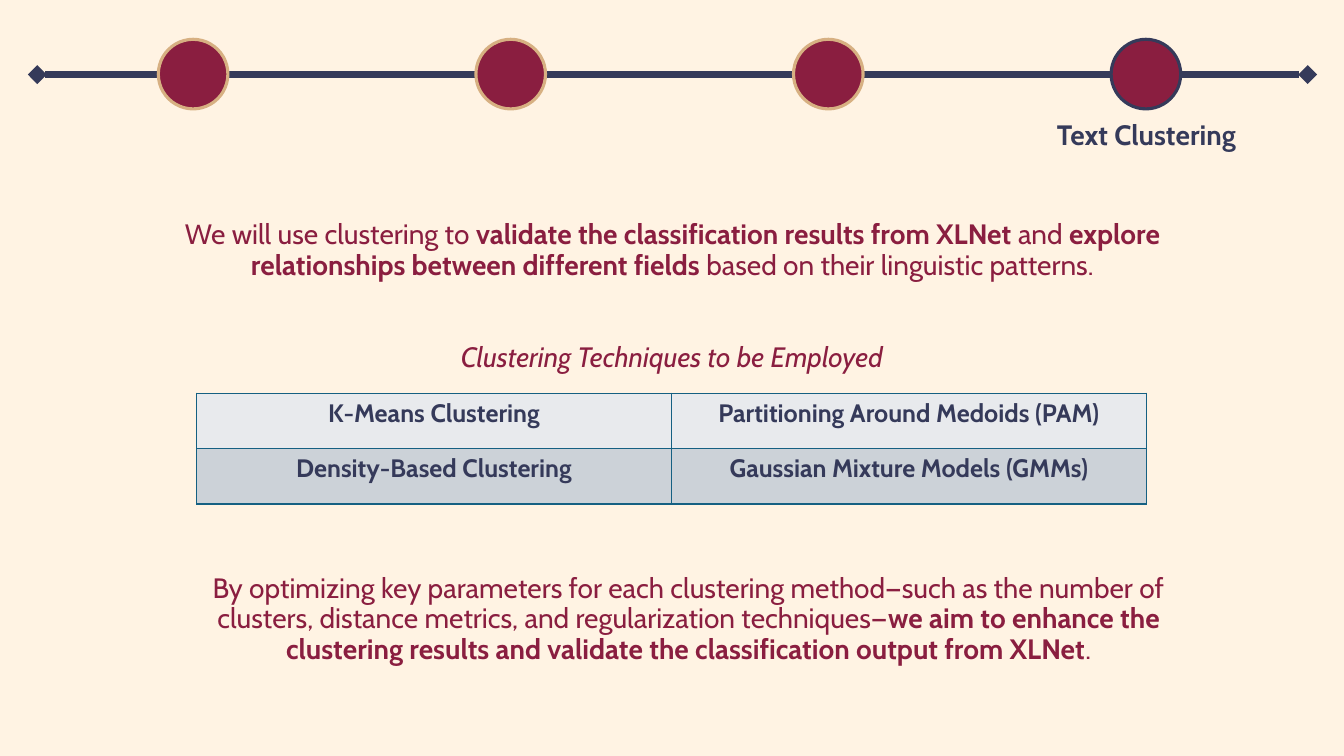
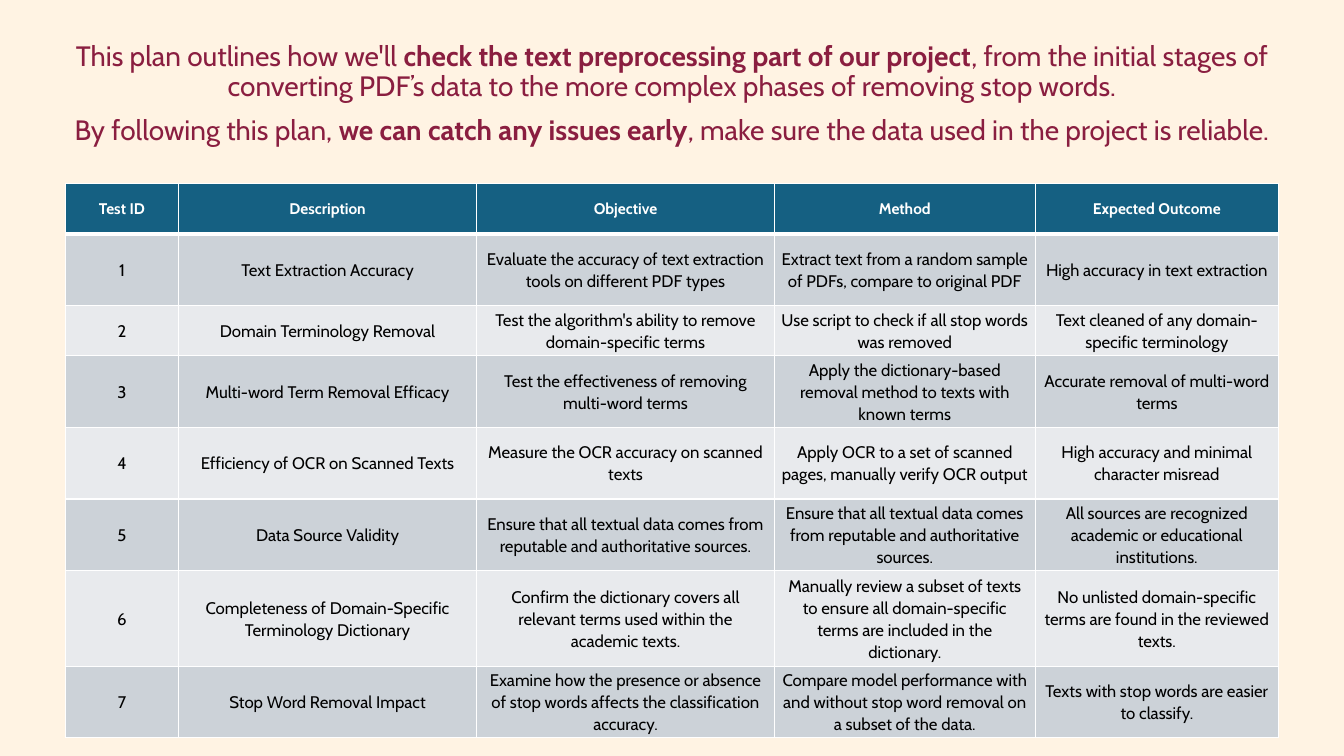
import dataclasses

import lxml.etree
import pptx
import pptx.dml.color
import pptx.enum.shapes
import pptx.enum.text
import pptx.oxml.ns
import pptx.util

PX = 9144  # EMU per px, 100 px to the inch


@dataclasses.dataclass(frozen=True)
class Theme:
    font: str = "Cabin"
    cream: str = "FFF3E3"
    wine: str = "8A1E40"
    navy: str = "353A5A"
    gold: str = "D7B082"
    teal: str = "156082"
    light: str = "E8EAED"
    grey: str = "CCD2D8"
    white: str = "FFFFFF"
    black: str = "000000"
    text: int = 20
    grid: int = 18
    cell: int = 12
    head: int = 11


THEME = Theme()

TESTS = [
    ("Test ID", "Description", "Objective", "Method", "Expected Outcome"),
    ("1", "Text Extraction Accuracy",
     "Evaluate the accuracy of text extraction tools on different PDF types",
     "Extract text from a random sample of PDFs, compare to original PDF",
     "High accuracy in text extraction"),
    ("2", "Domain Terminology Removal",
     "Test the algorithm's ability to remove domain-specific terms",
     "Use script to check if all stop words was removed",
     "Text cleaned of any domain-specific terminology"),
    ("3", "Multi-word Term Removal Efficacy",
     "Test the effectiveness of removing multi-word terms",
     "Apply the dictionary-based removal method to texts with known terms",
     "Accurate removal of multi-word terms"),
    ("4", "Efficiency of OCR on Scanned Texts",
     "Measure the OCR accuracy on scanned texts",
     "Apply OCR to a set of scanned pages, manually verify OCR output",
     "High accuracy and minimal character misread"),
    ("5", "Data Source Validity",
     "Ensure that all textual data comes from reputable and authoritative sources.",
     "Ensure that all textual data comes from reputable and authoritative sources.",
     "All sources are recognized academic or educational institutions."),
    ("6", "Completeness of Domain-Specific Terminology Dictionary",
     "Confirm the dictionary covers all relevant terms used within the academic texts.",
     "Manually review a subset of texts to ensure all domain-specific terms "
     "are included in the dictionary.",
     "No unlisted domain-specific terms are found in the reviewed texts."),
    ("7", "Stop Word Removal Impact",
     "Examine how the presence or absence of stop words affects the classification accuracy.",
     "Compare model performance with and without stop word removal on a subset of the data.",
     "Texts with stop words are easier to classify."),
]


# Basics
def px(*nums):
    return [pptx.util.Emu(n * PX) for n in nums]


def rgb(code):
    return pptx.dml.color.RGBColor.from_string(code)


def add_tag(parent, tag, **attrs):
    return lxml.etree.SubElement(parent, pptx.oxml.ns.qn(tag), attrs)


def add_run(para, text, size, color, bold=False, slant=False):
    run = para.add_run()
    run.text = text
    font = run.font
    font.name, font.size = THEME.font, pptx.util.Pt(size)
    font.bold, font.italic = bold, slant
    font.color.rgb = rgb(color)


# Text blocks: each paragraph is a list of parts, plain and bold in turn
def fill_text(shape, box, paras, color=THEME.wine, slant=False):
    shape.left, shape.top, shape.width, shape.height = px(*box)
    frame = shape.text_frame
    frame.word_wrap = True
    frame.auto_size = pptx.enum.text.MSO_AUTO_SIZE.NONE
    frame.vertical_anchor = pptx.enum.text.MSO_ANCHOR.MIDDLE
    for num, parts in enumerate(paras):
        para = frame.add_paragraph() if num else frame.paragraphs[0]
        props = para._p.get_or_add_pPr()
        props.set("marL", "0")
        props.set("indent", "0")
        add_tag(props, "a:buNone")
        para.alignment = pptx.enum.text.PP_ALIGN.CENTER
        para.line_spacing = 0.9
        para.space_before = pptx.util.Pt(10 if num else 0)
        for turn, part in enumerate(parts):
            if part:
                add_run(para, part, THEME.text, color, turn % 2 == 1, slant)


def add_text(slide, box, paras, **style):
    fill_text(slide.shapes.add_textbox(*px(*box)), box, paras, **style)


# Timeline
def add_track(slide, left, right, y):
    line = slide.shapes.add_connector(
        pptx.enum.shapes.MSO_CONNECTOR.STRAIGHT, *px(left, y, right, y))
    line.line.color.rgb = rgb(THEME.navy)
    line.line.width = pptx.util.Pt(4.5)
    props = line._element.spPr
    stroke = props.find(pptx.oxml.ns.qn("a:ln"))
    for end in ("a:headEnd", "a:tailEnd"):
        add_tag(stroke, end, type="diamond")
    add_tag(props, "a:effectLst")


def add_stop(slide, left, top, size, edge):
    stop = slide.shapes.add_shape(
        pptx.enum.shapes.MSO_SHAPE.FLOWCHART_CONNECTOR, *px(left, top, size, size))
    stop.shadow.inherit = False
    stop.fill.solid()
    stop.fill.fore_color.rgb = rgb(THEME.wine)
    stop.line.color.rgb = rgb(edge)
    stop.line.width = pptx.util.Pt(2.25)


# Tables
def add_edges(cell, color, top=1, bottom=1):
    props = cell._tc.get_or_add_tcPr()
    sides = (("a:lnL", 1), ("a:lnR", 1), ("a:lnT", top), ("a:lnB", bottom))
    for place, (tag, width) in enumerate(sides):
        edge = add_tag(props, tag, w=str(pptx.util.Pt(width)))
        add_tag(add_tag(edge, "a:solidFill"), "a:srgbClr", val=color)
        props.insert(place, edge)


def add_table(slide, left, top, cols, rows, data):
    table = slide.shapes.add_table(
        len(rows), len(cols), *px(left, top, sum(cols), sum(rows))).table
    table.first_row = table.horz_banding = False
    for col, width in zip(table.columns, px(*cols)):
        col.width = width
    for row, height in zip(table.rows, px(*rows)):
        row.height = height
    for row, texts in zip(table.rows, data):
        for cell, text in zip(row.cells, texts):
            yield_cell(cell, text)
    return table


def yield_cell(cell, text):
    cell.text_frame.paragraphs[0].alignment = pptx.enum.text.PP_ALIGN.CENTER
    cell.text_frame.paragraphs[0].add_run().text = text


def style_row(row, fill, size, color, bold, edge, top=1, bottom=1):
    for cell in row.cells:
        cell.fill.solid()
        cell.fill.fore_color.rgb = rgb(fill)
        add_edges(cell, edge, top, bottom)
        font = cell.text_frame.paragraphs[0].runs[0].font
        font.name, font.size, font.bold = THEME.font, pptx.util.Pt(size), bold
        font.color.rgb = rgb(color)


def pad_cells(table):
    for cell in table.iter_cells():
        cell.vertical_anchor = pptx.enum.text.MSO_ANCHOR.MIDDLE
        cell.margin_left, cell.margin_right = px(7, 7)
        cell.margin_top = cell.margin_bottom = 0
        para = cell.text_frame.paragraphs[0]
        para.line_spacing = 1.07
        para.space_after = pptx.util.Pt(8)


# Slides
def build_groups(deck):
    slide = deck.slides.add_slide(deck.slide_layouts[1])
    title, body = slide.placeholders
    add_track(slide, 37, 1297, 74)
    for num in range(4):
        add_stop(slide, 157 + 315 * num, 39, 69, THEME.navy if num == 3 else THEME.gold)
    fill_text(title, (997, 109, 280, 52), [["", "Text Clustering"]], color=THEME.navy)
    fill_text(body, (150, 187, 1034, 124), [[
        "We will use clustering to ",
        "validate the classification results from XLNet ",
        "and ",
        "explore relationships between different fields",
        " based on their linguistic patterns."]])
    add_text(slide, (414, 321, 505, 69),
             [["Clustering Techniques to be Employed"]], slant=True)
    table = add_table(slide, 195, 390, [471] * 2, [55] * 2, [
        ("K-Means Clustering", "Partitioning Around Medoids (PAM)"),
        ("Density-Based Clustering", "Gaussian Mixture Models (GMMs)")])
    for row, fill in zip(table.rows, (THEME.light, THEME.grey)):
        style_row(row, fill, THEME.grid, THEME.navy, True, THEME.teal)
    add_text(slide, (166, 553, 1034, 124), [[
        "By optimizing key parameters for each clustering method—such as the number of "
        "clusters, distance metrics, and regularization techniques—",
        "we aim to enhance the clustering results and validate the classification "
        "output from XLNet",
        "."]])


def build_tests(deck):
    slide = deck.slides.add_slide(deck.slide_layouts[1])
    title, body = slide.placeholders
    title._element.getparent().remove(title._element)
    fill_text(body, (0, 19, 1333, 149), [
        ["This plan outlines how we'll ",
         "check the text preprocessing part of our project",
         ", from the initial stages of converting PDF’s data to the more complex "
         "phases of removing stop words."],
        ["By following this plan, ",
         "we can catch any issues early",
         ", make sure the data used in the project is reliable."]])
    table = add_table(slide, 65, 182, [112, 296, 295, 259, 241],
                      [50, 71, 50, 71, 71, 71, 95, 71], TESTS)
    table.first_row = True
    pad_cells(table)
    for num, row in enumerate(table.rows):
        if num == 0:
            style_row(row, THEME.teal, THEME.head, THEME.white, True, THEME.white, bottom=3)
        else:
            fill = THEME.grey if num % 2 else THEME.light
            style_row(row, fill, THEME.cell, THEME.black, False, THEME.white,
                      top=3 if num == 1 else 1)


def main():
    deck = pptx.Presentation()
    deck.slide_width, deck.slide_height = px(1333, 750)
    back = deck.slide_master.background.fill
    back.solid()
    back.fore_color.rgb = rgb(THEME.cream)
    build_groups(deck)
    build_tests(deck)
    deck.save("out.pptx")


if __name__ == "__main__":
    main()
